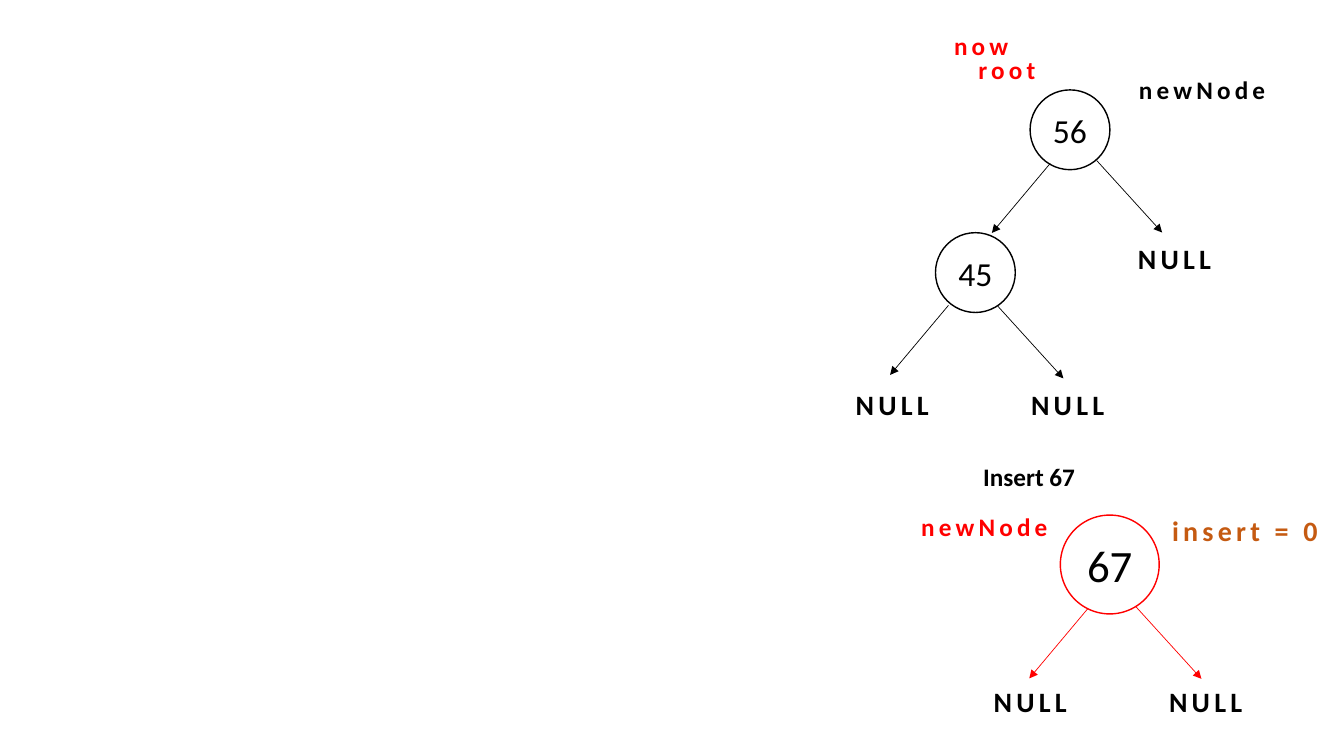
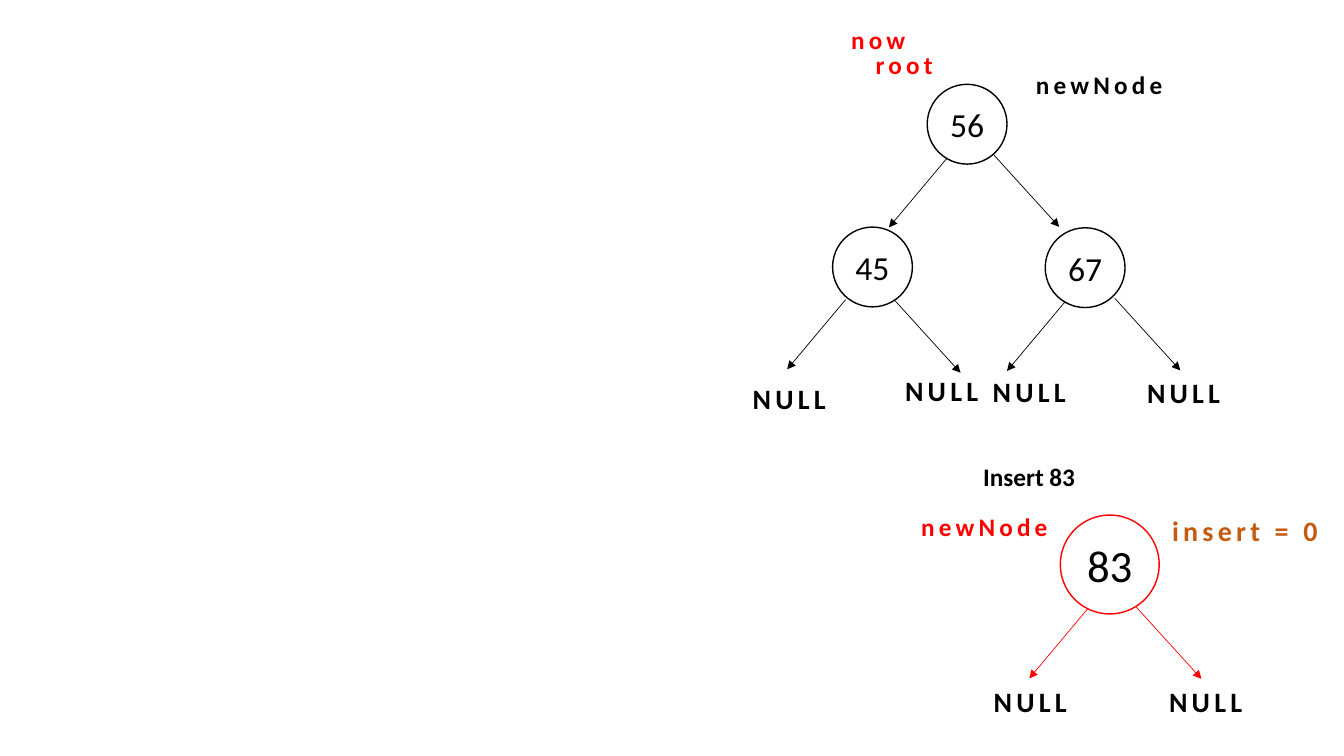
from lxml.etree import SubElement
from pptx import Presentation
from pptx.dml.color import RGBColor
from pptx.enum.shapes import MSO_CONNECTOR, MSO_SHAPE
from pptx.enum.text import MSO_ANCHOR, MSO_AUTO_SIZE, PP_ALIGN
from pptx.oxml.ns import qn
from pptx.util import Pt

BLACK = RGBColor(0x00, 0x00, 0x00)
WHITE = RGBColor(0xFF, 0xFF, 0xFF)
RED = RGBColor(0xFF, 0x00, 0x00)
ORANGE = RGBColor(0xC5, 0x5A, 0x11)

FONT = "Calibri"
TREE_NODE_SIZE = 57
NEW_NODE_SIZE = 70.6
LEFT_BRANCH = (-41.7, 49.7)
RIGHT_BRANCH = (46.8, 51.5)


def write_text(shape, text, size=20, color=BLACK, bold=True, spacing=0,
               align=PP_ALIGN.LEFT):
    """Write one formatted line of text into a shape."""
    paragraph = shape.text_frame.paragraphs[0]
    paragraph.alignment = align
    run = paragraph.add_run()
    run.text = text
    run.font.name = FONT
    run.font.size = Pt(size)
    run.font.bold = bold
    run.font.color.rgb = color
    if spacing:
        run.font._element.set("spc", str(spacing * 100))


def add_label(slide, text, left, top, width, size=18, spacing=3, **text_format):
    """Add a one-line text box as tall as its font needs."""
    height = size * 1.22 + 7.2
    box = slide.shapes.add_textbox(Pt(left), Pt(top), Pt(width), Pt(height))
    box.text_frame.word_wrap = False
    box.text_frame.auto_size = MSO_AUTO_SIZE.SHAPE_TO_FIT_TEXT
    write_text(box, text, size=size, spacing=spacing, **text_format)


def add_null(slide, left, top):
    """Add the label of an empty child."""
    add_label(slide, "NULL", left, top, 70.6, size=20)


def add_branch(slide, left, top, step, color):
    """Add an arrow that runs from a point by the given step."""
    arrow = slide.shapes.add_connector(
        MSO_CONNECTOR.STRAIGHT, Pt(left), Pt(top),
        Pt(left + step[0]), Pt(top + step[1]))
    arrow.line.color.rgb = color
    arrow.line.width = Pt(0.5)
    SubElement(arrow.line._get_or_add_ln(), qn("a:tailEnd"), type="triangle")
    SubElement(arrow._element.spPr, qn("a:effectLst"))


def add_node(slide, number, left, top, left_start, right_start,
             diameter=TREE_NODE_SIZE, size=24, color=BLACK):
    """Add a circled number with its two branches, which start inside its box."""
    circle = slide.shapes.add_shape(
        MSO_SHAPE.OVAL, Pt(left), Pt(top), Pt(diameter), Pt(diameter))
    circle.shadow.inherit = False
    circle.fill.solid()
    circle.fill.fore_color.rgb = WHITE
    circle.line.color.rgb = color
    circle.line.width = Pt(1)
    circle.text_frame.vertical_anchor = MSO_ANCHOR.MIDDLE
    write_text(circle, str(number), size=size, bold=False, align=PP_ALIGN.CENTER)
    for start, step in ((left_start, LEFT_BRANCH), (right_start, RIGHT_BRANCH)):
        add_branch(slide, left + start[0], top + start[1], step, color)


def add_tree(slide, left, top):
    """Add the root 56 with its labels and its left child 45."""
    add_node(slide, 56, left, top, (14.4, 52.5), (47.5, 50.4))
    add_label(slide, "root", left - 44, top - 28.8, 58.3, color=RED)
    add_label(slide, "newNode", left + 70.6, top - 14.6, 108.7)
    add_label(slide, "now", left - 61.4, top - 46.3, 56.9, color=RED)
    add_node(slide, 45, left - 67.6, top + 102, (9.3, 51.9), (44.6, 52.6))
    add_null(slide, left - 131.7, top + 208.8)


def add_insertion(slide, number):
    """Add the new node that waits to be inserted."""
    add_label(slide, "insert = 0", 830.2, 362.9, 122.4, size=20, color=ORANGE)
    add_node(slide, number, 757.4, 367.9, (19.5, 67), (54, 65.5),
             diameter=NEW_NODE_SIZE, size=32, color=RED)
    for left in (702.7, 828):
        add_null(slide, left, 485.3)
    add_label(slide, f"Insert {number}", 694.8, 326.2, 80.6, spacing=0,
              align=PP_ALIGN.CENTER)
    add_label(slide, "newNode", 650.9, 361.4, 108.7, color=RED)


def add_insert_67_slide(presentation):
    """Build the slide on which 67 is about to join the tree."""
    slide = presentation.slides.add_slide(presentation.slide_layouts[6])
    add_tree(slide, 735.8, 64.2)
    add_null(slide, 805.7, 169.2)
    add_null(slide, 729.4, 272.9)
    add_insertion(slide, 67)


def add_insert_83_slide(presentation):
    """Build the slide on which 83 is about to join the tree."""
    slide = presentation.slides.add_slide(presentation.slide_layouts[6])
    add_insertion(slide, 83)
    add_tree(slide, 662.3, 60.2)
    add_node(slide, 67, 746.6, 162.7, (14.4, 52.6), (49.7, 50.4))
    add_null(slide, 639.4, 262.9)
    add_null(slide, 702, 264.2)
    add_null(slide, 812.2, 264.8)


def main():
    """Create the two slides and save them."""
    presentation = Presentation()
    presentation.slide_width = Pt(960)
    presentation.slide_height = Pt(540)
    add_insert_67_slide(presentation)
    add_insert_83_slide(presentation)
    presentation.save("out.pptx")


main()
